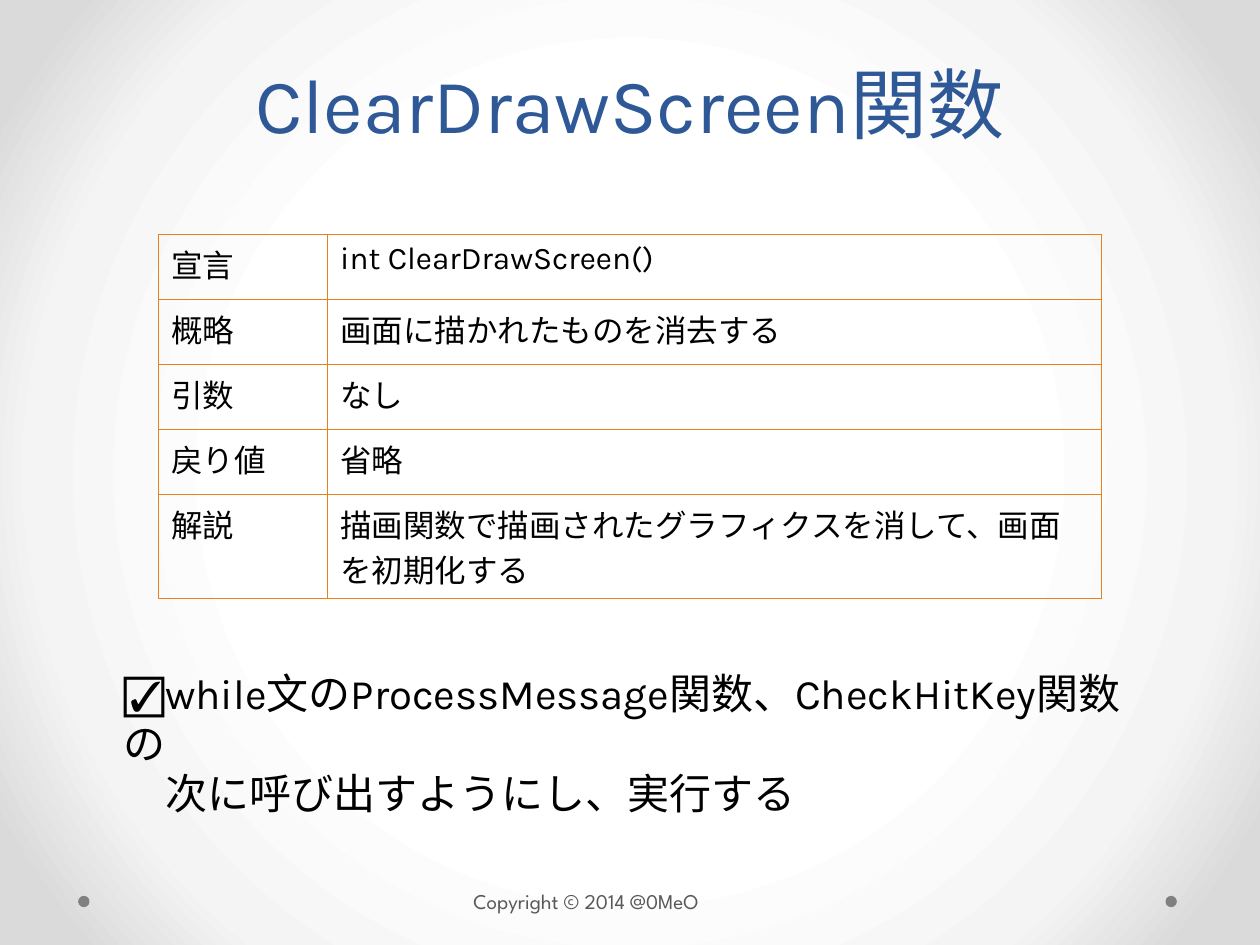
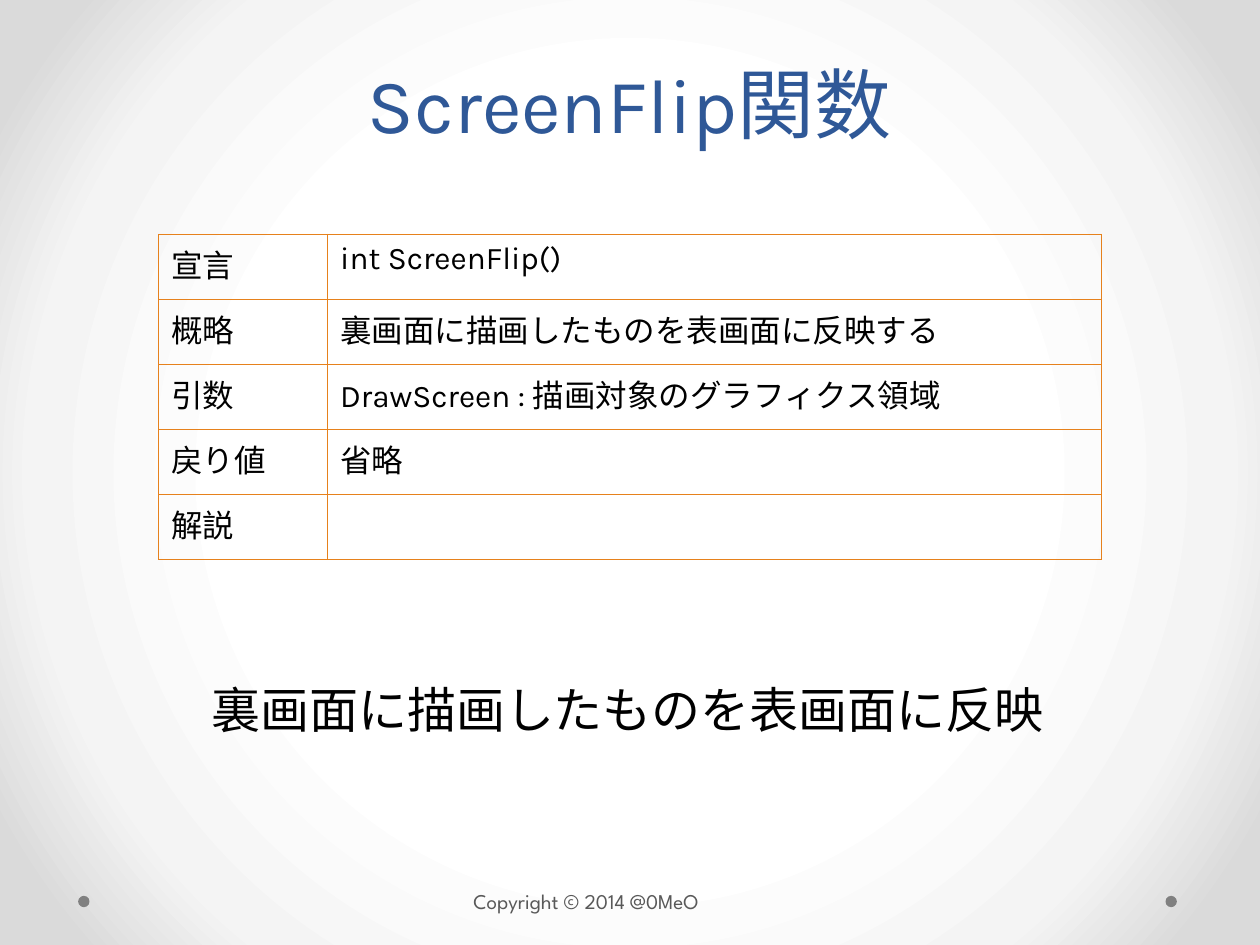
from lxml import etree
from pptx import Presentation
from pptx.dml.color import RGBColor
from pptx.enum.shapes import MSO_SHAPE as SHAPE
from pptx.enum.text import MSO_ANCHOR as ANCHOR, PP_ALIGN as ALIGN
from pptx.oxml import parse_xml
from pptx.oxml.ns import nsdecls
from pptx.util import Inches, Pt

COLORS = {
    "title": "2F5897",
    "text": "000000",
    "footer": "595959",
    "dot": "808080",
    "border": "E6811C",
}
GRADIENT = [(50, "FFFFFF"), (76, "F4F4F4"), (92, "DADADA")]
BODY_FONT = "Karla"
FOOTER_FONT = "League Spartan"
TITLE_ONLY = 5
ROW_LABELS = ["宣言", "概略", "引数", "戻り値", "解説"]
ROW_HEIGHT = Inches(2.58) // len(ROW_LABELS)
TWO_LINE_ROW_HEIGHT = Inches(0.83)


class FunctionDeck:
    def __init__(self):
        self.deck = Presentation()
        self.deck.slide_width = Inches(10)
        self.deck.slide_height = Inches(7.5)
        self.page = None
        self.paint_background()

    def paint_background(self):
        fill = self.deck.slide_master.background.fill
        fill.gradient()
        properties = self.deck.slide_master.element.cSld.bg.bgPr
        stops = "".join(
            f'<a:gs pos="{position * 1000}"><a:srgbClr val="{color}"/></a:gs>'
            for position, color in GRADIENT
        )
        gradient = parse_xml(
            f'<a:gradFill {nsdecls("a")} rotWithShape="1"><a:gsLst>{stops}</a:gsLst>'
            '<a:path path="circle"><a:fillToRect l="50000" t="50000" r="50000" b="50000"/>'
            "</a:path></a:gradFill>"
        )
        properties.replace(properties[0], gradient)

    def style(self, frame, size, color, font=BODY_FONT):
        for para in frame.paragraphs:
            for span in para.runs:
                span.font.size = Pt(size)
                span.font.name = font
                span.font.color.rgb = RGBColor.from_string(COLORS[color])

    def start_page(self, title):
        self.page = self.deck.slides.add_slide(self.deck.slide_layouts[TITLE_ONLY])
        for left in (9.25, 0.62):
            self.dot(left, 7.11)
        self.text("Copyright © 2014 @0MeO", 3.66, 7, 2.3, 0.3, 12, "footer", FOOTER_FONT)
        self.title(title)

    def title(self, words):
        box = self.page.shapes.title
        box.left, box.top = Inches(0.5), Inches(0.24)
        box.width, box.height = Inches(9), Inches(0.99)
        frame = box.text_frame
        frame.text = words
        frame.vertical_anchor = ANCHOR.BOTTOM
        frame.paragraphs[0].alignment = ALIGN.CENTER
        frame.paragraphs[0].line_spacing = Pt(58)
        self.style(frame, 44, "title")

    def dot(self, left, top):
        size = Inches(0.09)
        shape = self.page.shapes.add_shape(SHAPE.OVAL, Inches(left), Inches(top), size, size)
        shape.shadow.inherit = False
        shape.fill.solid()
        shape.fill.fore_color.rgb = RGBColor.from_string(COLORS["dot"])
        shape.line.fill.background()

    def text(self, words, left, top, width, height, size, color="text",
             font=BODY_FONT, spacing=None):
        box = self.page.shapes.add_textbox(
            Inches(left), Inches(top), Inches(width), Inches(height))
        frame = box.text_frame
        frame.word_wrap = True
        frame.text = words
        for para in frame.paragraphs:
            para.line_spacing = spacing
        self.style(frame, size, color, font)

    def table(self, descriptions, last_height=ROW_HEIGHT):
        heights = [ROW_HEIGHT] * (len(ROW_LABELS) - 1) + [last_height]
        holder = self.page.shapes.add_table(
            len(ROW_LABELS), 2, Inches(1.26), Inches(1.86), Inches(7.48), sum(heights))
        table = holder.table
        table.first_row = False
        table.horz_banding = False
        for column, width in zip(table.columns, (1.34, 6.14)):
            column.width = Inches(width)
        for row, height, *words in zip(table.rows, heights, ROW_LABELS, descriptions):
            row.height = height
            for cell, content in zip(row.cells, words):
                cell.text = content
                self.style(cell.text_frame, 18, "text")
                self.outline(cell)
                cell.fill.background()

    def outline(self, cell):
        properties = cell._tc.get_or_add_tcPr()
        for side in ("lnL", "lnR", "lnT", "lnB"):
            properties.append(etree.fromstring(
                f'<a:{side} {nsdecls("a")} w="{Pt(0.75)}"><a:solidFill>'
                f'<a:srgbClr val="{COLORS["border"]}"/></a:solidFill></a:{side}>'))


def main():
    show = FunctionDeck()

    show.start_page("ClearDrawScreen関数")
    show.table([
        "int ClearDrawScreen()",
        "画面に描かれたものを消去する",
        "なし",
        "省略",
        "描画関数で描画されたグラフィクスを消して、画面を初期化する",
    ], TWO_LINE_ROW_HEIGHT)
    show.text(
        "☑while文のProcessMessage関数、CheckHitKey関数の\n　次に呼び出すようにし、実行する",
        0.88, 5.25, 8.24, 0.91, 24, spacing=Pt(28.6))

    show.start_page("ScreenFlip関数")
    show.table([
        "int ScreenFlip()",
        "裏画面に描画したものを表画面に反映する",
        "DrawScreen : 描画対象のグラフィクス領域",
        "省略",
        "",
    ])
    show.text("裏画面に描画したものを表画面に反映", 1.58, 5.35, 6.88, 0.57, 28, spacing=Pt(33.4))

    show.deck.save("out.pptx")


if __name__ == "__main__":
    main()
